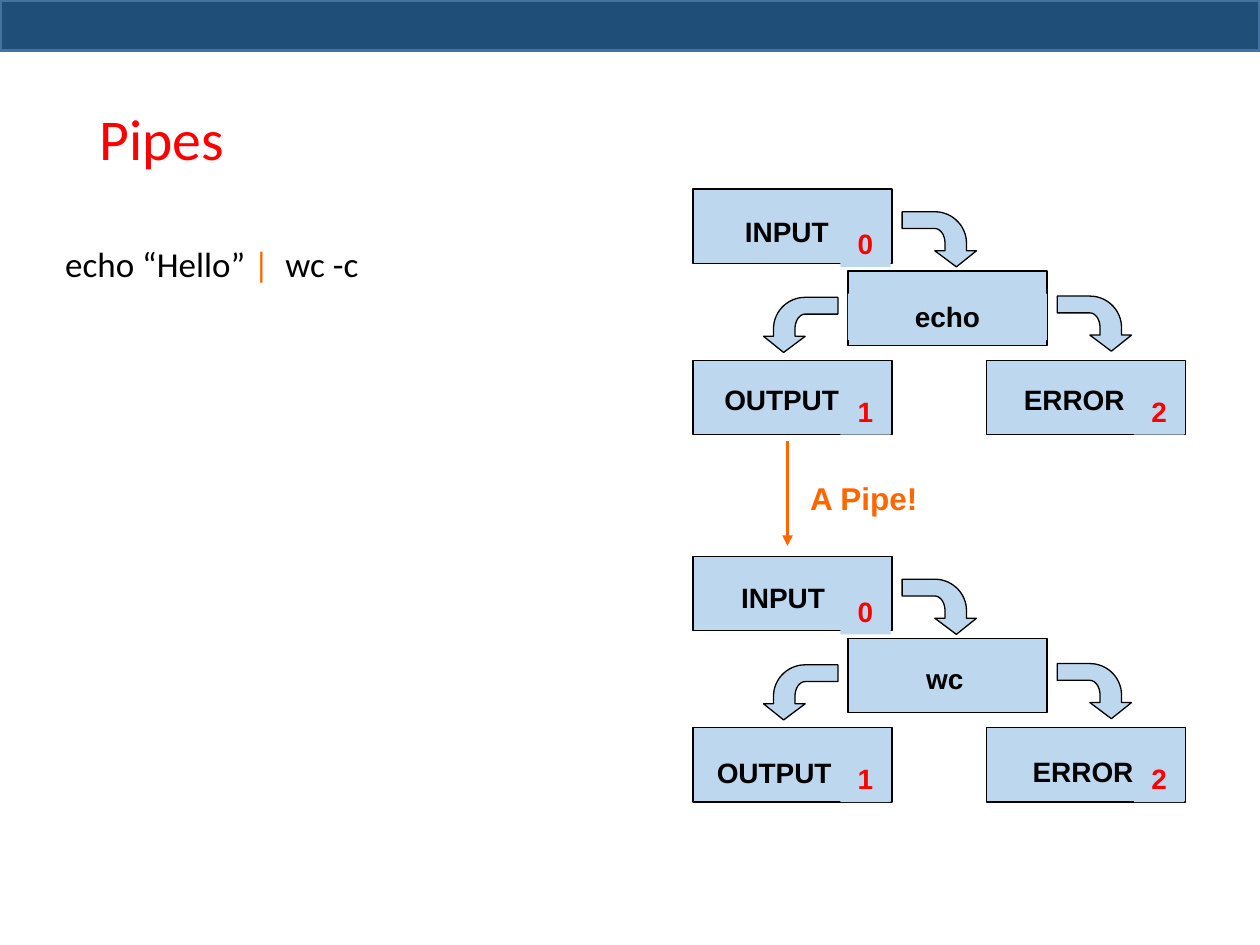
import math

from lxml import etree
from pptx import Presentation
from pptx import util as u
from pptx.dml.color import RGBColor
from pptx.enum import shapes, text
from pptx.oxml.ns import qn

BLUE, BLACK, RED, ORANGE = "BDD7EE", "000000", "FF0000", "FF6600"
BOX_WIDTH, BOX_HEIGHT, LABEL_HEIGHT = 113.8, 42.5, 26.6
PROCESS_GAP = 210

# Positions within one process diagram
BOXES = [(396, 108), (484.5, 154.8), (396, 205.9), (563.8, 205.9)]
ARROWS = [(515.5, 121, 1), (604.1, 169.2, 1), (478.8, 169.9, -1)]
BADGES = [("0", 480.2, 126), ("1", 480.2, 221.8), ("2", 648, 221.8)]

# Labels: text, left, top, width
ECHO_LABELS = [("INPUT", 399.6, 118.8, 100), ("echo", 484.5, 167.8, 113.8),
               ("OUTPUT", 397.4, 215.3, 98.6), ("ERROR", 567.4, 215.3, 92.9)]
WC_LABELS = [("INPUT", 399.6, 118.3, 95.8), ("wc", 491, 164.4, 97.9),
             ("OUTPUT", 397.4, 218.4, 90), ("ERROR", 571, 217.7, 95.8)]


def color(value):
    return RGBColor.from_string(value)


def style(shape, fill, line, width):
    shape.shadow.inherit = False
    shape.fill.solid()
    shape.fill.fore_color.rgb = color(fill)
    shape.line.color.rgb = color(line)
    shape.line.width = u.Pt(width)


def add_box(slide, left, top, width, height, fill=BLUE, line=BLACK, line_width=0.75):
    shape = slide.shapes.add_shape(shapes.MSO_SHAPE.RECTANGLE, u.Pt(left), u.Pt(top),
                                   u.Pt(width), u.Pt(height))
    style(shape, fill, line, line_width)


def add_text(slide, runs, left, top, width, height, size=16, font="Arial", bold=True,
             fill=None, align=text.PP_ALIGN.LEFT, anchor=text.MSO_ANCHOR.TOP,
             line_spacing=1.0):
    """Add one paragraph made of (text, colour) runs."""
    shape = slide.shapes.add_textbox(u.Pt(left), u.Pt(top), u.Pt(width), u.Pt(height))
    if fill:
        shape.fill.solid()
        shape.fill.fore_color.rgb = color(fill)
    frame = shape.text_frame
    frame.word_wrap = True
    frame.vertical_anchor = anchor
    paragraph = frame.paragraphs[0]
    paragraph.alignment = align
    paragraph.line_spacing = line_spacing
    for words, run_color in runs:
        run = paragraph.add_run()
        run.text = words
        run.font.size = u.Pt(size)
        run.font.name = font
        run.font.bold = bold
        run.font.color.rgb = color(run_color)


def add_label(slide, words, left, top, width, text_color=BLACK):
    add_text(slide, [(words, text_color)], left, top, width, LABEL_HEIGHT,
             fill=BLUE, align=text.PP_ALIGN.CENTER)


def quarter_arc(radius_x, radius_y, angles):
    """Points of the bend around its centre at (18.7, 18)."""
    return [(18.7 + radius_x * math.cos(math.radians(angle)),
             18 - radius_y * math.sin(math.radians(angle))) for angle in angles]


def add_bent_arrow(slide, left, top, direction):
    """Draw an arrow that starts level and bends down; direction -1 mirrors it."""
    outline = [(31, 31.5), (42.5, 22.3), (36.8, 22.3),
               *quarter_arc(18.1, 18, range(0, 91, 6)),
               (0, 0), (0, 9.6),
               *quarter_arc(5.8, 8.4, range(90, -1, -6)),
               (24.5, 22.3), (18.7, 22.3)]
    points = [(u.Pt(left + direction * x), u.Pt(top + y)) for x, y in outline]
    builder = slide.shapes.build_freeform(*points[0])
    builder.add_line_segments(points[1:], close=True)
    style(builder.convert_to_shape(), BLUE, BLACK, 0.75)


def add_process(slide, labels, offset):
    for (left, top), (words, label_left, label_top, width) in zip(BOXES, labels):
        add_box(slide, left, top + offset, BOX_WIDTH, BOX_HEIGHT)
        add_label(slide, words, label_left, label_top + offset, width)
    for left, top, direction in ARROWS:
        add_bent_arrow(slide, left, top + offset, direction)
    for number, left, top in BADGES:
        add_label(slide, number, left, top + offset, 28.8, RED)


def add_pipe(slide, x, top, bottom):
    connector = slide.shapes.add_connector(shapes.MSO_CONNECTOR.STRAIGHT, u.Pt(x),
                                           u.Pt(top), u.Pt(x), u.Pt(bottom))
    connector.line.color.rgb = color(ORANGE)
    connector.line.width = u.Pt(2)
    etree.SubElement(connector.line._get_or_add_ln(), qn("a:tailEnd"), type="triangle")
    etree.SubElement(connector._element.spPr, qn("a:effectLst"))


def main():
    presentation = Presentation()
    presentation.slide_width, presentation.slide_height = u.Pt(720), u.Pt(540)
    slide = presentation.slides.add_slide(presentation.slide_layouts[6])

    # Header band, title and command
    add_box(slide, 0, 0, 720, 28.8, fill="1F4E79", line="43739E", line_width=2)
    add_text(slide, [("Pipes", RED)], 49.7, 28.8, 620.6, 104.4, size=33, font="Calibri",
             bold=False, anchor=text.MSO_ANCHOR.MIDDLE, line_spacing=0.9)
    add_text(slide, [("echo “Hello” ", BLACK), ("|  ", ORANGE), ("wc -c", BLACK)],
             30.2, 137.5, 360, 288, size=20, font="Calibri", bold=False,
             line_spacing=0.9)

    # Two processes joined by the pipe
    add_process(slide, ECHO_LABELS, 0)
    add_process(slide, WC_LABELS, PROCESS_GAP)
    add_pipe(slide, 450, 252, 312)
    add_text(slide, [("A Pipe!", ORANGE)], 455.8, 270, 203.8, 28.8, size=18)

    presentation.save("out.pptx")


if __name__ == "__main__":
    main()
